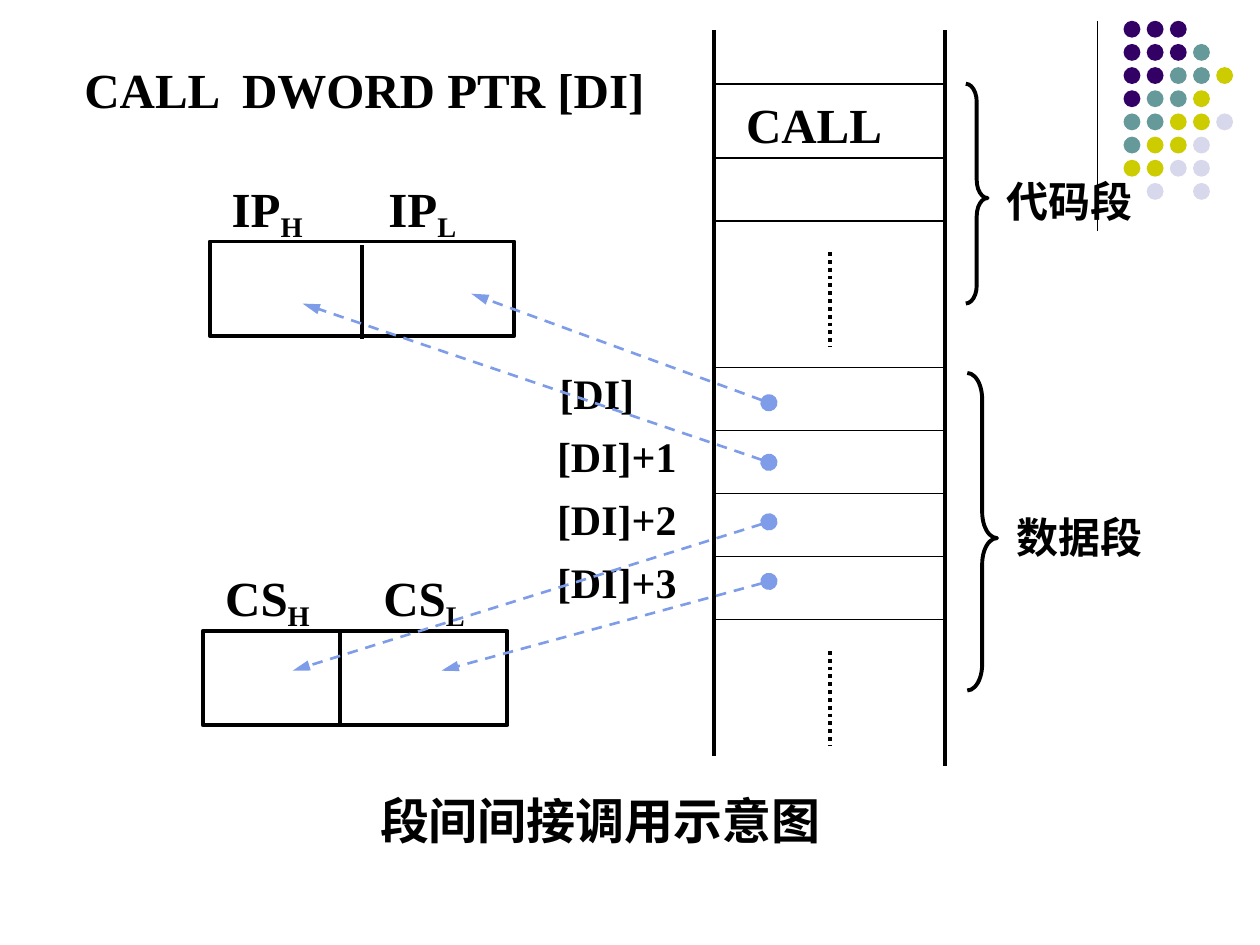
from dataclasses import dataclass

from pptx import Presentation
from pptx.dml.color import RGBColor
from pptx.enum.dml import MSO_LINE_DASH_STYLE as Dash
from pptx.enum.shapes import MSO_CONNECTOR as Connector, MSO_SHAPE as Shape
from pptx.enum.text import MSO_ANCHOR as Anchor, MSO_AUTO_SIZE as AutoSize, PP_ALIGN as Align
from pptx.oxml.ns import qn
from pptx.oxml.xmlchemy import OxmlElement
from pptx.util import Cm, Pt


@dataclass(frozen=True)
class Theme:
    font: str = "Times New Roman"
    ink: str = "000000"
    pointer: str = "7E9CE8"
    purple: str = "330066"
    teal: str = "669999"
    olive: str = "CCCC00"
    lilac: str = "D8D8EC"
    large: float = 28
    medium: float = 24
    subscript: int = -20000
    hairline: float = 0.75
    thin: float = 1
    dashed: float = 1.5
    thick: float = 2.25


THEME = Theme()
DOT_ROWS = ("PPP", "PPPT", "PPTTY", "PTTY", "TTYYL", "TYYL", "YYLL", " L L")
DOT_COLORS = {"P": THEME.purple, "T": THEME.teal, "Y": THEME.olive, "L": THEME.lilac}
MEMORY_LEFT, MEMORY_RIGHT = 14.4, 19.05
DATA_TOP, ROW_HEIGHT = 7.41, 1.27
REGISTER_WIDTH, REGISTER_HEIGHT = 6.14, 1.9


def style_text(text_frame, size, align=Align.LEFT):
    text_frame.margin_left = text_frame.margin_right = 0
    text_frame.margin_top = text_frame.margin_bottom = 0
    text_frame.vertical_anchor = Anchor.TOP
    text_frame.word_wrap = True
    text_frame.auto_size = AutoSize.NONE
    paragraph = text_frame.paragraphs[0]
    paragraph.alignment = align
    for run in paragraph.runs:
        run.font.name = THEME.font
        run.font.size = Pt(size)
        run.font.bold = True
        run.font.color.rgb = RGBColor.from_string(THEME.ink)


def add_label(slide, text, left, top, width, size, align=Align.LEFT, subscript=""):
    box = slide.shapes.add_textbox(Cm(left), Cm(top), Cm(width), Cm(size * 0.0425))
    box.text_frame.text = text
    if subscript:
        run = box.text_frame.paragraphs[0].add_run()
        run.text = subscript
        run.font._element.set("baseline", str(THEME.subscript))
    style_text(box.text_frame, size, align)


def add_title(slide, text):
    title = slide.shapes.title
    title.left, title.top, title.width, title.height = Cm(1.7), Cm(1.19), Cm(12.7), Cm(1.19)
    title.text_frame.text = text
    style_text(title.text_frame, THEME.large)


def add_line(slide, start, end, weight, color=THEME.ink, dash=None):
    line = slide.shapes.add_connector(Connector.STRAIGHT, *map(Cm, start + end))
    line.line.color.rgb = RGBColor.from_string(color)
    line.line.width = Pt(weight)
    if dash is not None:
        line.line.dash_style = dash
    line._element.spPr.append(OxmlElement("a:effectLst"))
    return line


def add_pointer(slide, start, end):
    pointer = add_line(slide, start, end, THEME.dashed, THEME.pointer, Dash.DASH)
    outline = pointer._element.spPr.find(qn("a:ln"))
    for tag, kind, width in (("a:headEnd", "oval", "lg"), ("a:tailEnd", "triangle", "med")):
        line_end = OxmlElement(tag)
        line_end.set("type", kind)
        line_end.set("w", width)
        line_end.set("len", "lg")
        outline.append(line_end)


def add_outline(slide, kind, left, top, width, height):
    shape = slide.shapes.add_shape(kind, Cm(left), Cm(top), Cm(width), Cm(height))
    shape.shadow.inherit = False
    shape.fill.background()
    shape.line.color.rgb = RGBColor.from_string(THEME.ink)
    shape.line.width = Pt(THEME.thick)
    return shape


def add_brace(slide, left, top, width, height, curve):
    brace = add_outline(slide, Shape.RIGHT_BRACE, left, top, width, height)
    brace.adjustments[0] = curve
    brace.adjustments[1] = 0.52


def add_register(slide, name, left, top, divider, divider_top, label_lefts):
    add_outline(slide, Shape.RECTANGLE, left, top, REGISTER_WIDTH, REGISTER_HEIGHT)
    add_line(slide, (divider, divider_top), (divider, divider_top + REGISTER_HEIGHT), THEME.thick)
    for half, label_left in zip("HL", label_lefts):
        add_label(slide, name, label_left, top - 1.27, 2.5, THEME.large, subscript=half)


def add_dot_ornament(slide):
    add_line(slide, (22.12, 0.43), (22.12, 4.65), THEME.hairline)
    group = slide.shapes.add_group_shape()
    pitch, diameter = 0.467, 0.34
    for row, codes in enumerate(DOT_ROWS):
        for column, code in enumerate(codes):
            if code == " ":
                continue
            dot = group.shapes.add_shape(
                Shape.OVAL, Cm(22.65 + column * pitch), Cm(0.42 + row * pitch),
                Cm(diameter), Cm(diameter))
            dot.shadow.inherit = False
            dot.fill.solid()
            dot.fill.fore_color.rgb = RGBColor.from_string(DOT_COLORS[code])
            dot.line.fill.background()


def add_memory(slide):
    add_line(slide, (MEMORY_LEFT, 0.6), (MEMORY_LEFT, 15.24), THEME.thick)
    add_line(slide, (MEMORY_RIGHT, 0.6), (MEMORY_RIGHT, 15.45), THEME.thick)
    data_rows = [DATA_TOP + index * ROW_HEIGHT for index in range(5)]
    for y in [1.69, 3.18, 4.45] + data_rows:
        add_line(slide, (MEMORY_LEFT, y), (MEMORY_RIGHT, y), THEME.thin)
    middle = (MEMORY_LEFT + MEMORY_RIGHT) / 2
    for y in (5.08, 13.12):
        add_line(slide, (middle, y), (middle, y + 1.9), THEME.thick, dash=Dash.ROUND_DOT)
    add_label(slide, "CALL", 15.04, 1.91, 3.4, THEME.large)
    for text, y in zip(("[DI]", "[DI]+1", "[DI]+2", "[DI]+3"), data_rows):
        add_label(slide, text, 11.28 if text == "[DI]" else 11.23, y, 3.1, THEME.medium)


def main():
    presentation = Presentation()
    presentation.slide_width, presentation.slide_height = Cm(25.4), Cm(19.05)
    slide = presentation.slides.add_slide(presentation.slide_layouts[5])

    add_title(slide, "CALL  DWORD PTR [DI]")
    add_dot_ornament(slide)
    add_memory(slide)

    add_brace(slide, 19.47, 1.69, 0.44, 4.43, 0.83)
    add_label(slide, "代码段", 20.3, 3.53, 3.6, THEME.medium)
    add_brace(slide, 19.5, 7.52, 0.6, 6.4, 0.88)
    add_label(slide, "数据段", 20.5, 10.32, 3.6, THEME.medium)

    add_register(slide, "IP", 4.23, 4.87, 7.3, 4.94, (4.67, 7.83))
    add_register(slide, "CS", 4.09, 12.72, 6.86, 12.72, (4.54, 7.73))

    targets = ((9.5, 5.92), (6.1, 6.12), (5.9, 13.52), (8.9, 13.52))
    for index, target in enumerate(targets):
        add_pointer(slide, (15.5, 8.12 + index * 1.2), target)

    add_label(slide, "段间间接调用示意图", 6.1, 15.93, 12, THEME.large, Align.CENTER)
    presentation.save("out.pptx")


if __name__ == "__main__":
    main()
